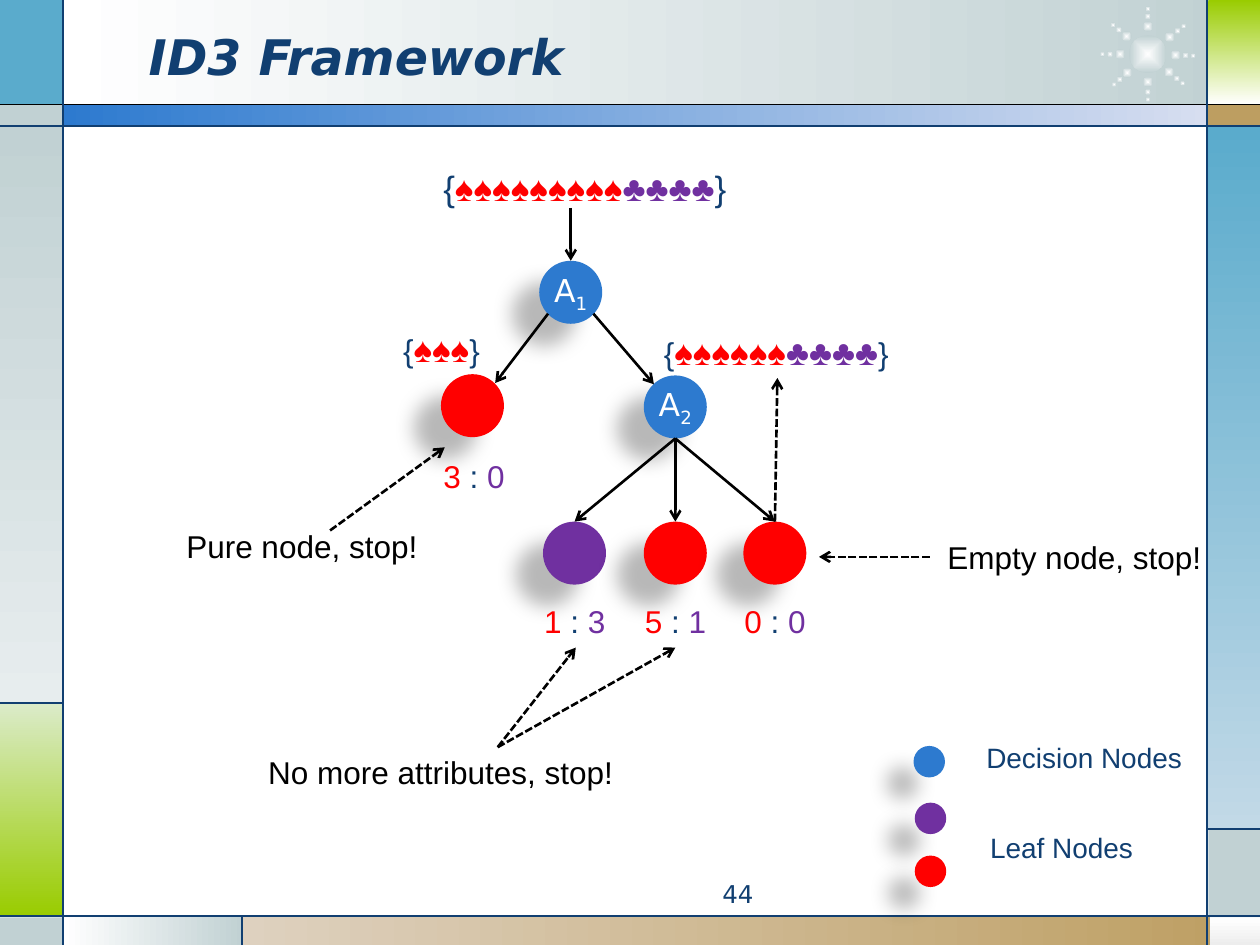
import math

import pptx
import pptx.dml.color
import pptx.enum.dml
import pptx.enum.shapes
import pptx.enum.text
import pptx.oxml
import pptx.oxml.ns
import pptx.util

Inches = pptx.util.Inches
Pt = pptx.util.Pt
qn = pptx.oxml.ns.qn
SHAPE = pptx.enum.shapes.MSO_SHAPE
ALIGN = pptx.enum.text.PP_ALIGN
ANCHOR = pptx.enum.text.MSO_ANCHOR
AUTO_SIZE = pptx.enum.text.MSO_AUTO_SIZE

COLORS = {
    "navy": "113F71", "blue": "2D7ACF", "pale blue": "D7DEF0",
    "sky": "5AABCC", "light sky": "C2D9E7",
    "gray": "C1D1D3", "light gray": "E7EDEE", "mist": "EDEDED",
    "green": "99CC00", "light green": "DBEBC9",
    "tan": "BD9E61", "light tan": "DED1BF",
    "red": "FF0000", "purple": "7030A0", "black": "000000", "white": "FFFFFF",
}


def rgb(name):
    return pptx.dml.color.RGBColor.from_string(COLORS[name])


def drawing_xml(markup):
    head, tail = markup.split(" ", 1)
    return pptx.oxml.parse_xml(f"{head} {pptx.oxml.ns.nsdecls('a')} {tail}")


def write_text(frame, runs, size=18, font="Arial", align=ALIGN.LEFT, bold=None, italic=None):
    """Write one paragraph; each run is (text, colour, optional size, optional baseline)."""
    paragraph = frame.paragraphs[0]
    paragraph.alignment = align
    for text, color, *extra in runs:
        run = paragraph.add_run()
        run.text = text
        run.font.name = font
        run.font.size = Pt(extra[0] if extra else size)
        run.font.bold, run.font.italic = bold, italic
        run.font.color.rgb = rgb(color)
        if len(extra) > 1:
            run.font._element.set("baseline", str(extra[1] * 1000))


class SlideBuilder:
    heading_font = "DejaVu Sans"

    def __init__(self, slide):
        self.slide = slide
        self.shapes = slide.shapes

    def shape(self, kind, box, fill, end=None, angle=0, radial=False):
        shape = self.shapes.add_shape(kind, *map(Inches, box))
        shape.shadow.inherit = False
        shape.line.fill.background()
        if end is None:
            shape.fill.solid()
            shape.fill.fore_color.rgb = rgb(fill)
            return shape
        shape.fill.gradient()
        shape.fill.gradient_angle = -angle % 360
        for stop, color in zip(shape.fill.gradient_stops, (fill, end)):
            stop.color.rgb = rgb(color)
        if radial:
            linear = shape._element.spPr.find(qn("a:gradFill")).find(qn("a:lin"))
            linear.getparent().replace(linear, drawing_xml(
                '<a:path path="shape"><a:fillToRect l="50000" t="50000" r="50000" b="50000"/></a:path>'))
        return shape

    def node(self, left, top, color, size=0.5, label=None):
        node = self.shape(SHAPE.OVAL, (left, top, size, size), color)
        node._element.spPr.find(qn("a:effectLst")).append(drawing_xml(
            f'<a:outerShdw blurRad="{Pt(11.8)}" dist="{Pt(19.7)}" dir="{141 * 60000}" algn="ctr" '
            'rotWithShape="0"><a:srgbClr val="000000"><a:alpha val="28000"/></a:srgbClr></a:outerShdw>'))
        if label:
            frame = node.text_frame
            frame.margin_left = frame.margin_right = frame.margin_top = frame.margin_bottom = 0
            frame.vertical_anchor = ANCHOR.MIDDLE
            frame.word_wrap = False
            letter, index = label
            write_text(frame, [(letter, "white"), (index, "white", 18, -25)],
                       font=self.heading_font, align=ALIGN.CENTER)
        return node

    def line(self, start, end, color="black", width=0.75):
        connector = self.shapes.add_connector(
            pptx.enum.shapes.MSO_CONNECTOR.STRAIGHT, *map(Inches, (*start, *end)))
        connector.line.color.rgb = rgb(color)
        connector.line.width = Pt(width)
        connector._element.spPr.append(drawing_xml("<a:effectLst />"))
        return connector

    def arrow(self, start, end, dashed=False, from_top=None, to_top=None):
        connector = self.line(start, end, width=1.5)
        if dashed:
            connector.line.dash_style = pptx.enum.dml.MSO_LINE.SQUARE_DOT
        connector._element.spPr.find(qn("a:ln")).append(drawing_xml('<a:tailEnd type="arrow"/>'))
        if from_top is not None:
            connector.begin_connect(from_top, 0)
        if to_top is not None:
            connector.end_connect(to_top, 0)

    def text(self, box, runs, wrap=False, **style):
        frame = self.shapes.add_textbox(*map(Inches, box)).text_frame
        frame.word_wrap = wrap
        frame.auto_size = AUTO_SIZE.NONE if wrap else AUTO_SIZE.SHAPE_TO_FIT_TEXT
        write_text(frame, runs, **style)

    def title(self, box, text):
        title = self.shapes.title
        title.left, title.top, title.width, title.height = map(Inches, box)
        self.shapes._spTree.append(title._element)  # in front of the backdrop
        frame = title.text_frame
        frame.auto_size = AUTO_SIZE.NONE
        frame.vertical_anchor = ANCHOR.MIDDLE
        write_text(frame, [(text, "navy")], size=28, font=self.heading_font, bold=True, italic=True)

    def ratio(self, left, top, reds, purples):
        self.text((left, top, 0.69, 0.4),
                  [(f"{reds} ", "red"), (": ", "navy"), (str(purples), "purple")])

    def card_set(self, box, spades, clubs, brace_size=18):
        runs = [("{", "navy", brace_size), ("♠" * spades, "red")]
        if clubs:
            runs.append(("♣" * clubs, "purple"))
        self.text(box, runs + [("}", "navy", brace_size)], size=20)


def draw_backdrop(builder):
    # Colour blocks: box, fill, gradient end, gradient angle
    blocks = [
        ((0.5, 0, 9.27, 0.84), "white", "gray", 0),
        ((0, 0, 0.5, 0.84), "sky"),
        ((0, 0.83, 0.5, 0.17), "gray"),
        ((0, 1, 0.5, 4.58), "gray", "light gray", 90),
        ((0, 5.58, 0.5, 1.69), "light green", "green", 90),
        ((0, 7.28, 0.5, 0.22), "gray"),
        ((0.5, 7.27, 1.43, 0.23), "white", "gray", 0),
        ((1.92, 7.27, 8.08, 0.23), "light tan", "tan", 0),
        ((9.6, 7.28, 0.4, 0.22), "white", "mist", 90),
        ((9.59, 6.58, 0.41, 0.7), "gray"),
        ((9.58, 1, 0.42, 5.58), "sky", "light sky", 90),
        ((9.58, 0.83, 0.42, 0.17), "tan"),
        ((9.59, 0, 0.41, 0.83), "green", "white", 90),
        ((0.5, 0.83, 9.09, 0.17), "blue", "pale blue", 0),
    ]
    for box, *fill in blocks:
        builder.shape(SHAPE.RECTANGLE, box, *fill)

    # Starburst: a centre and eight rays of three shrinking dots
    dots = [(0, 0, 0.3)]
    for angle in (2, 40, 90, 138, 180, 220, 270, 322):
        dots += [(angle, 0.22, 0.08), (angle, 0.3, 0.05), (angle, 0.36, 0.04)]
    for angle, radius, size in dots:
        left = 9.11 + radius * math.cos(math.radians(angle)) - size / 2
        top = 0.43 + radius * math.sin(math.radians(angle)) - size / 2
        builder.shape(SHAPE.OVAL, (left, top, size, size), "white", "gray", radial=True)

    # Rules
    builder.line((0, 0.83), (10, 0.83))
    for start, end in [((0, 1), (10, 1)), ((0, 7.27), (10, 7.27)), ((0.5, 0), (0.5, 7.5)),
                       ((9.58, 0), (9.58, 7.5)), ((0.5, 5.58), (0, 5.58)),
                       ((1.92, 7.27), (1.92, 7.5)), ((9.58, 6.58), (10, 6.58))]:
        builder.line(start, end, "navy")


def draw_tree(builder):
    # Nodes and their red : purple counts
    root = builder.node(4.28, 2.07, "blue", label="A1")
    builder.node(5.11, 2.98, "blue", label="A2")
    builder.node(3.5, 2.97, "red")
    builder.ratio(3.42, 3.58, 3, 0)
    leaves = []
    for left, color, counts in [(4.31, "purple", (1, 3)), (5.11, "red", (5, 1)), (5.9, "red", (0, 0))]:
        leaves.append(builder.node(left, 4.14, color))
        builder.ratio(left - 0.09, 4.73, *counts)

    # Branches
    builder.arrow((4.53, 1.65), (4.53, 2.07), to_top=root)
    builder.arrow((4.35, 2.49), (3.93, 3.04))
    builder.arrow((4.71, 2.49), (5.19, 3.05))
    for leaf in leaves:
        builder.arrow((5.36, 3.48), (5.36, 4.14), to_top=leaf)

    # Example sets
    builder.card_set((3.42, 1.27, 2.47, 0.44), 9, 4, brace_size=20)
    builder.card_set((5.17, 2.57, 2, 0.44), 6, 4)
    builder.card_set((3.1, 2.55, 0.82, 0.44), 3, 0)

    # Stopping rules
    for box, text in [((1.38, 4.13, 2.05, 0.4), "Pure node, stop!"),
                      ((2.03, 5.93, 2.96, 0.4), "No more attributes, stop!"),
                      ((7.42, 4.22, 2.24, 0.4), "Empty node, stop!")]:
        builder.text(box, [(text, "black")])
    for start, end in [((2.62, 4.21), (3.53, 3.55)), ((3.95, 5.93), (5.36, 5.14)),
                       ((3.95, 5.93), (4.57, 5.14)), ((7.38, 4.42), (6.5, 4.42))]:
        builder.arrow(start, end, dashed=True)
    builder.arrow((6.15, 4.14), (6.17, 3), dashed=True, from_top=leaves[-1])


def draw_legend(builder):
    for left, top, color in [(7.25, 5.92, "blue"), (7.26, 6.37, "purple"), (7.26, 6.79, "red")]:
        builder.node(left, top, color, size=0.25)
    builder.text((7.73, 5.83, 1.77, 0.37), [("Decision Nodes", "navy")], size=16)
    builder.text((7.76, 6.54, 1.35, 0.37), [("Leaf Nodes", "navy")], size=16)


def main():
    presentation = pptx.Presentation()
    presentation.slide_width, presentation.slide_height = Inches(10), Inches(7.5)
    builder = SlideBuilder(presentation.slides.add_slide(presentation.slide_layouts[5]))
    draw_backdrop(builder)
    builder.title((1.08, 0.13, 7.33, 0.62), "ID3 Framework")
    builder.text((3.75, 6.93, 2.33, 0.27), [("44", "navy")], wrap=True, size=14,
                 font=builder.heading_font, align=ALIGN.RIGHT)
    draw_tree(builder)
    draw_legend(builder)
    presentation.save("out.pptx")


if __name__ == "__main__":
    main()
